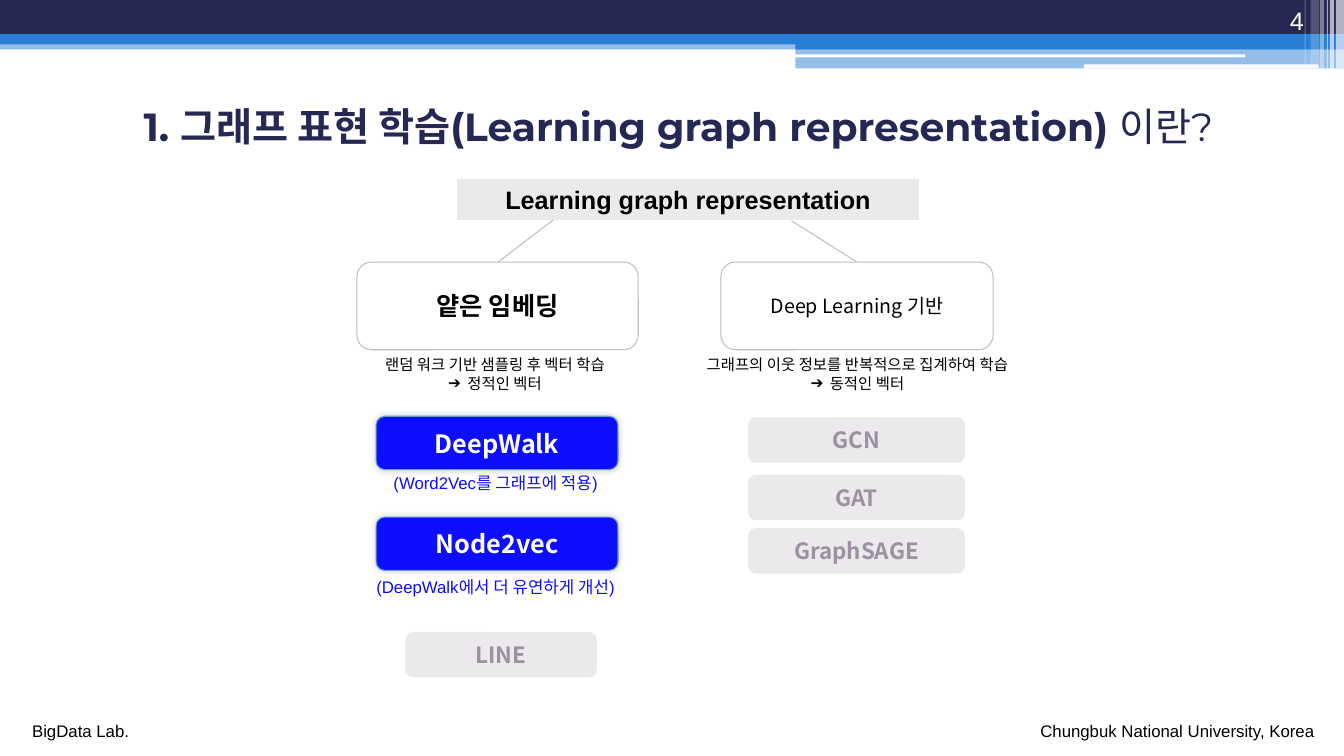
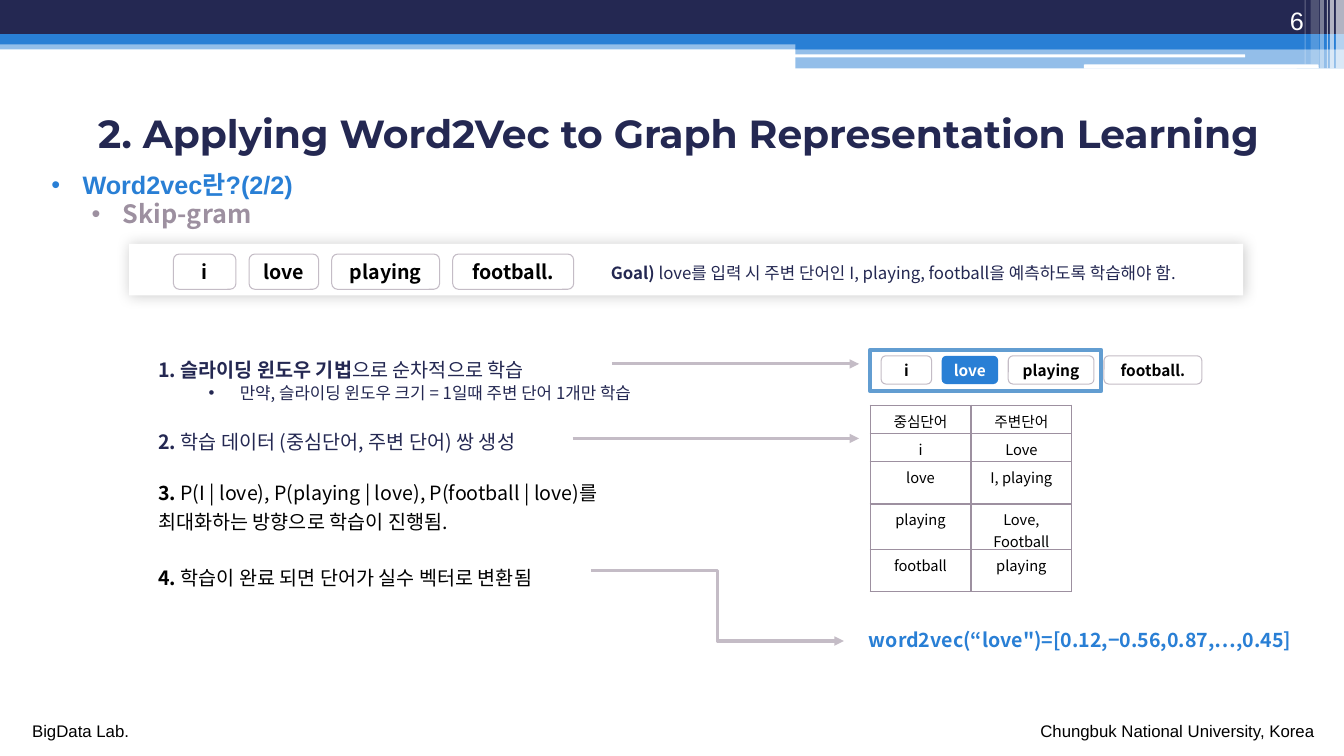
from dataclasses import dataclass

from lxml import etree
from pptx import Presentation
from pptx import util as u
from pptx.dml.color import RGBColor
from pptx.enum import shapes, text
from pptx.oxml import ns

PX = 9144  # 100 px to the inch


@dataclass(frozen=True)
class Theme:
    navy: str = "242852"
    blue: str = "297FD5"
    sky: str = "629DD1"
    vivid: str = "0D0DFF"
    mauve: str = "9D90A0"
    line: str = "C4BCC6"
    pale: str = "EBE9EC"
    white: str = "FFFFFF"
    black: str = "000000"
    sans: str = "Arial"
    korean: str = "Noto Sans CJK KR"
    heading: str = "Montserrat"
    title_size: float = 28
    large: float = 18
    medium: float = 16
    body: float = 14
    small: float = 12
    note: float = 11
    cell: float = 10.5


THEME = Theme()
LEFT, CENTER, RIGHT = text.PP_ALIGN.LEFT, text.PP_ALIGN.CENTER, text.PP_ALIGN.RIGHT
TOP, MIDDLE, BOTTOM = text.MSO_ANCHOR.TOP, text.MSO_ANCHOR.MIDDLE, text.MSO_ANCHOR.BOTTOM
RECT = shapes.MSO_SHAPE.RECTANGLE
ROUND = shapes.MSO_SHAPE.ROUNDED_RECTANGLE


@dataclass
class Line:
    """One paragraph; lead is a bold opening before the text."""
    text: str
    size: float = THEME.body
    color: str = THEME.black
    font: str = THEME.korean
    bold: bool = False
    lead: str = ""
    align: int = LEFT
    height: float = 0
    before: float = 0
    bullet: str = ""
    margin: int = 0
    hanging: int = 0


def px(*lengths):
    return [u.Emu(length * PX) for length in lengths]


def child(parent, tag, **attributes):
    element = etree.SubElement(parent, ns.qn(tag))
    for name, value in attributes.items():
        element.set(name, str(value))
    return element


# Text

def write(frame, lines):
    for index, line in enumerate(lines):
        paragraph = frame.paragraphs[0] if index == 0 else frame.add_paragraph()
        paragraph.alignment = line.align
        if line.height:
            paragraph.line_spacing = u.Pt(line.height)
        if line.before:
            paragraph.space_before = u.Pt(line.before)
        if line.bullet:
            properties = paragraph._p.get_or_add_pPr()
            properties.set("marL", str(line.margin * PX))
            properties.set("indent", str(-line.hanging * PX))
            child(properties, "a:buFont", typeface=THEME.sans)
            child(properties, "a:buChar", char=line.bullet)
        font = paragraph.font
        font.name, font.size, font.bold = line.font, u.Pt(line.size), line.bold
        font.color.rgb = RGBColor.from_string(line.color)
        child(font._element, "a:ea", typeface=THEME.korean)
        if line.lead:
            lead = paragraph.add_run()
            lead.text, lead.font.bold = line.lead, True
        paragraph.add_run().text = line.text


def add_text(slide, left, top, width, height, *lines, anchor=TOP):
    frame = slide.shapes.add_textbox(*px(left, top, width, height)).text_frame
    frame.word_wrap = True
    frame.vertical_anchor = anchor
    write(frame, lines)


# Shapes and connectors

def add_box(slide, kind, left, top, width, height, fill=None, line=None,
            label=None, weight=0.75, alpha=100, blur=0):
    shape = slide.shapes.add_shape(kind, *px(left, top, width, height))
    if fill:
        shape.fill.solid()
        shape.fill.fore_color.rgb = RGBColor.from_string(fill)
        if alpha < 100:
            color = shape._element.spPr.find(".//" + ns.qn("a:srgbClr"))
            child(color, "a:alpha", val=alpha * 1000)
    else:
        shape.fill.background()
    if line:
        shape.line.color.rgb = RGBColor.from_string(line)
        shape.line.width = u.Pt(weight)
    else:
        shape.line.fill.background()
    shape.shadow.inherit = False
    if blur:
        effects = shape._element.spPr.find(ns.qn("a:effectLst"))
        shadow = child(effects, "a:outerShdw", blurRad=u.Pt(blur), dist=0, dir=0)
        child(child(shadow, "a:srgbClr", val=THEME.black), "a:alpha", val=20000)
    if label:
        frame = shape.text_frame
        frame.margin_left = frame.margin_right = 0
        frame.margin_top = frame.margin_bottom = 0
        frame.vertical_anchor = MIDDLE
        label.align = CENTER
        write(frame, [label])
    return shape


def add_line(slide, start, end, weight=0.75, arrow=False,
             kind=shapes.MSO_CONNECTOR.STRAIGHT):
    connector = slide.shapes.add_connector(kind, *px(*start, *end))
    connector.line.color.rgb = RGBColor.from_string(THEME.line)
    connector.line.width = u.Pt(weight)
    if arrow:
        child(connector.line._get_or_add_ln(), "a:tailEnd", type="triangle")
    child(connector._element.spPr, "a:effectLst")


def add_arrow(slide, start, end, kind=shapes.MSO_CONNECTOR.STRAIGHT):
    add_line(slide, start, end, 2.25, True, kind)


def add_gray_pill(slide, left, top, width, name):
    add_box(slide, ROUND, left, top, width, 45, THEME.pale,
            label=Line(name, THEME.medium, THEME.mauve, bold=True))


def add_word_row(slide, left, top, height, widths, gap, size, selected=""):
    for word, width in zip(("i", "love", "playing", "football."), widths):
        chosen = word == selected
        add_box(slide, ROUND, left, top, width, height,
                THEME.blue if chosen else THEME.white,
                None if chosen else THEME.line,
                Line(word, size, THEME.white if chosen else THEME.black, bold=True))
        left += width + gap


def add_word_table(slide, left, top, widths, heights, rows):
    table = slide.shapes.add_table(len(rows), len(widths), *px(
        left, top, sum(widths), sum(heights))).table
    table.first_row = table.horz_banding = False
    for column, width in zip(table.columns, px(*widths)):
        column.width = width
    for row, height, words in zip(table.rows, px(*heights), rows):
        row.height = height
        for cell, word in zip(row.cells, words):
            properties = cell._tc.get_or_add_tcPr()
            for side in ("a:lnL", "a:lnR", "a:lnT", "a:lnB"):
                border = child(properties, side, w=u.Pt(1))
                child(child(border, "a:solidFill"), "a:srgbClr", val=THEME.mauve)
            cell.fill.solid()
            cell.fill.fore_color.rgb = RGBColor.from_string(THEME.white)
            cell.margin_top, cell.margin_bottom = px(5, 0)
            write(cell.text_frame, [Line(word, THEME.cell, align=CENTER)])


# Shared frame

def add_frame(slide, number):
    bands = [
        (RECT, 0, 40, 1333, 9, THEME.blue, 50),
        (RECT, 0, 0, 1333, 34, THEME.navy, 100),
        (RECT, 0, 34, 1333, 10, THEME.blue, 100),
        (RECT, 789, 39, 544, 10, THEME.blue, 100),
        (RECT, 789, 48, 544, 20, THEME.blue, 50),
        (ROUND, 788, 54, 447, 3, THEME.white, 100),
        (ROUND, 1075, 64, 233, 4, THEME.white, 100),
    ]
    stripes = [(1325, 8, 68, 65), (1319, 4, 68, 65), (1316, 1, 68, 60),
               (1309, 4, 68, 40), (1300, 8, 64, 20), (1294, 1, 64, 30)]
    bands += [(RECT, left, 0, width, height, THEME.white, alpha)
              for left, width, height, alpha in stripes]
    for *place, fill, alpha in bands:
        add_box(slide, *place, fill, alpha=alpha)
    for left, width, words in ((22, 130, "BigData Lab."),
                               (1022, 300, "Chungbuk National University, Korea")):
        add_text(slide, left, 710, width, 30, Line(words, THEME.small, font=THEME.sans))
    add_text(slide, 1192, 0, 111, 40,
             Line(str(number), THEME.large, THEME.white, THEME.sans, align=RIGHT),
             anchor=BOTTOM)


def add_title(slide, top, lead, rest=""):
    add_text(slide, 43, top, 1260, 60, Line(
        rest, THEME.title_size, THEME.navy, THEME.heading, lead=lead,
        align=CENTER, height=36))


# Slides

def build_overview(slide):
    add_frame(slide, 4)
    add_title(slide, 93, "1. 그래프 표현 학습(Learning graph representation) ", "이란?")

    # Tree of the two families
    add_box(slide, RECT, 454, 178, 457, 40, THEME.pale, THEME.pale,
            Line("Learning graph representation", THEME.large, font=THEME.sans, bold=True))
    add_line(slide, (549, 218), (494, 260))
    add_line(slide, (785, 219), (850, 260))
    add_box(slide, ROUND, 354, 260, 279, 87, THEME.white, THEME.line,
            Line("얕은 임베딩", THEME.large, bold=True))
    add_box(slide, ROUND, 715, 260, 270, 87, THEME.white, THEME.line,
            Line("Deep Learning 기반"))
    for left, width, method, result in (
            (342, 298, "랜덤 워크 기반 샘플링 후 벡터 학습", "정적인 벡터"),
            (669, 363, "그래프의 이웃 정보를 반복적으로 집계하여 학습", "동적인 벡터")):
        add_text(slide, left, 348, width, 47,
                 Line(method, THEME.note, align=CENTER, height=13),
                 Line(result, THEME.note, align=CENTER, height=13,
                      bullet="➔", margin=19, hanging=19))

    # Methods covered here
    for top, name, note_top, note in (
            (413, "DeepWalk", 465, "(Word2Vec를 그래프에 적용)"),
            (513, "Node2vec", 568, "(DeepWalk에서 더 유연하게 개선)")):
        add_box(slide, ROUND, 373, top, 240, 53, THEME.vivid, THEME.sky,
                Line(name, THEME.large, THEME.white, bold=True), blur=5)
        add_text(slide, 308, note_top, 367, 30,
                 Line(note, THEME.small, THEME.vivid, THEME.sans, align=CENTER, height=14))

    # Other methods
    add_gray_pill(slide, 402, 627, 190, "LINE")
    for top, name in ((414, "GCN"), (471, "GAT"), (524, "GraphSAGE")):
        add_gray_pill(slide, 742, top, 215, name)


def build_skip_gram(slide):
    add_frame(slide, 6)
    add_title(slide, 100, "2. Applying Word2Vec to Graph Representation Learning")
    add_text(slide, 0, 132, 358, 61,
             Line("Word2vec란?(2/2)", THEME.large, THEME.blue, THEME.sans, True,
                  height=44, bullet="•", margin=72, hanging=31))
    add_text(slide, 81, 193, 667, 40,
             Line("Skip-gram", THEME.large, THEME.mauve, bold=True,
                  height=21, bullet="•", margin=31, hanging=31))

    # Sentence and goal
    add_box(slide, RECT, 128, 242, 1105, 51, THEME.white, blur=10)
    add_word_row(slide, 172, 252, 35, (62, 69, 107, 120), 13, THEME.body)
    add_text(slide, 596, 252, 638, 32,
             Line("love를 입력 시 주변 단어인 I, playing, football을 예측하도록 학습해야 함.",
                  THEME.small, THEME.navy, lead="Goal) ", height=17))

    # Steps
    add_text(slide, 147, 350, 747, 131,
             Line("으로 순차적으로 학습", color=THEME.navy,
                  lead="1. 슬라이딩 윈도우 기법", height=17),
             Line("만약, 슬라이딩 윈도우 크기 = 1일때 주변 단어 1개만 학습", THEME.small,
                  THEME.navy, height=15, bullet="•", margin=81, hanging=31),
             Line("학습 데이터 (중심단어, 주변 단어) 쌍 생성", color=THEME.navy,
                  lead="2. ", height=20, before=16))
    add_text(slide, 147, 466, 480, 149,
             Line("P(I | love), P(playing | love), P(football | love)를 "
                  "최대화하는 방향으로 학습이 진행됨.", lead="3. ", height=21),
             Line("학습이 완료 되면 단어가 실수 벡터로 변환됨", lead="4. ",
                  height=21, before=19))
    add_arrow(slide, (607, 361), (852, 361))
    add_arrow(slide, (568, 435), (852, 435))
    add_arrow(slide, (586, 566), (837, 636), shapes.MSO_CONNECTOR.ELBOW)

    # Sliding window, word pairs and vector
    add_word_row(slide, 874, 353, 28, (50, 56, 85, 97), 10, THEME.note, "love")
    add_box(slide, RECT, 863, 347, 229, 41, line=THEME.sky, weight=3)
    add_word_table(slide, 863, 402, (100, 100), (28, 28, 42, 45, 42), (
        ("중심단어", "주변단어"), ("i", "Love"), ("love", "I, playing"),
        ("playing", "Love, Football"), ("football", "playing")))
    add_text(slide, 852, 618, 470, 34,
             Line("word2vec(“love\")=[0.12,−0.56,0.87,…,0.45]", color=THEME.blue,
                  bold=True, height=17))


def main():
    presentation = Presentation()
    presentation.slide_width, presentation.slide_height = px(1333, 750)
    for build in (build_overview, build_skip_gram):
        build(presentation.slides.add_slide(presentation.slide_layouts[6]))
    presentation.save("out.pptx")


if __name__ == "__main__":
    main()
